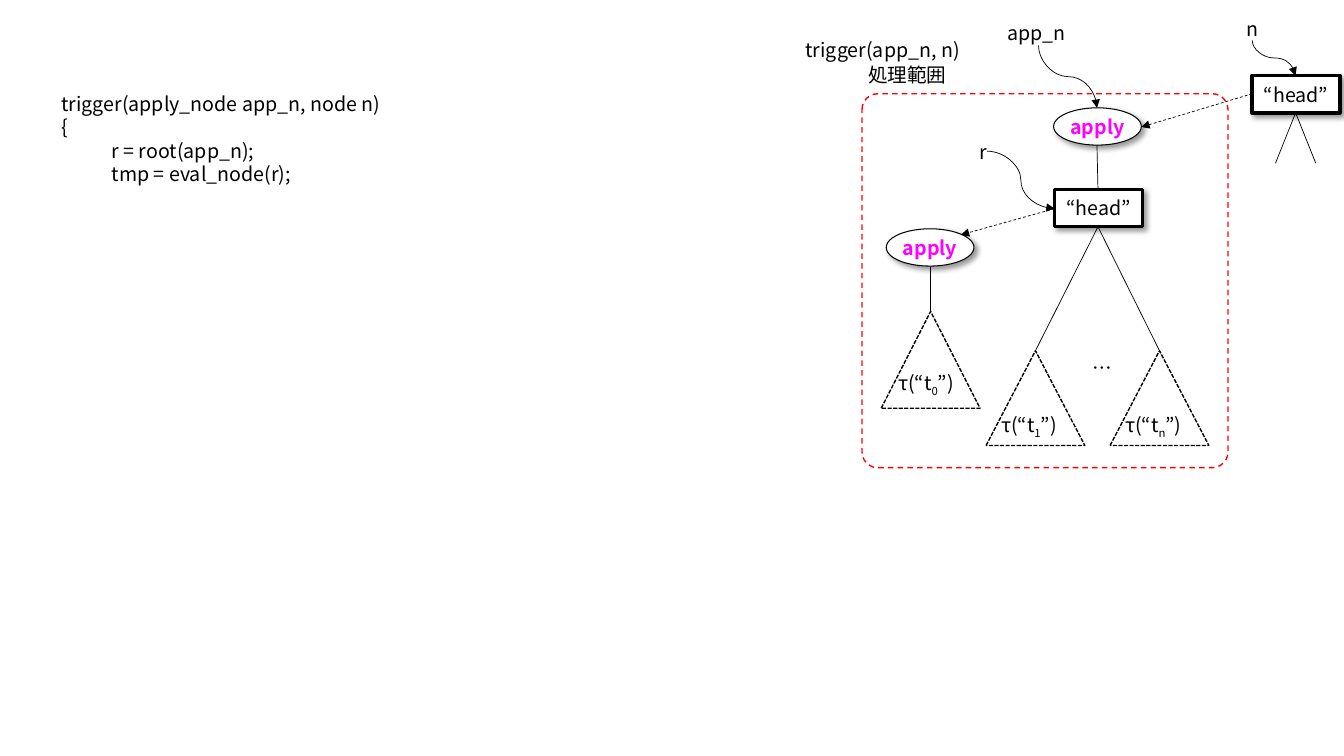
from lxml.etree import SubElement
from pptx import Presentation
from pptx.dml.color import RGBColor
from pptx.enum.dml import MSO_LINE
from pptx.enum.shapes import MSO_CONNECTOR as LINK, MSO_SHAPE as SHAPE
from pptx.enum.text import MSO_ANCHOR as ANCHOR, PP_ALIGN as ALIGN
from pptx.oxml.ns import qn
from pptx.util import Emu, Pt

PX = 9144  # EMU per px, 100 px to the inch
BLACK, WHITE, RED, MAGENTA = "000000", "FFFFFF", "FF0000", "FF00FF"
NODE_W, NODE_H = 87, 37


def px(n):
    return Emu(round(n * PX))


def color(code):
    return RGBColor.from_string(code)


class Diagram:
    font, size = "Noto Sans CJK JP", 14

    def __init__(self, slide):
        self.shapes = slide.shapes

    def format_runs(self, p, ink=BLACK, bold=None):
        for r in p.runs:
            r.font.size, r.font.bold, r.font.name = Pt(self.size), bold, self.font
            r.font.color.rgb = color(ink)
            SubElement(r._r.rPr, qn("a:ea"), typeface=self.font)

    def set_margins(self, tf, x, y):
        tf.margin_left = tf.margin_right = px(x)
        tf.margin_top = tf.margin_bottom = px(y)

    def shape(self, kind, x, y, w, h, width, line=BLACK, dash=None):
        s = self.shapes.add_shape(kind, px(x), px(y), px(w), px(h))
        s.shadow.inherit = False
        s.fill.solid()
        s.fill.fore_color.rgb = color(WHITE)
        s.line.color.rgb = color(line)
        s.line.width = Pt(width)
        if dash:
            s.line.dash_style = dash
        return s

    def node(self, kind, text, x, y, width, ink=BLACK, bold=None):
        s = self.shape(kind, x, y, NODE_W, NODE_H, width)
        effects = s._element.spPr.find(qn("a:effectLst"))
        shadow = SubElement(effects, qn("a:outerShdw"), blurRad=str(Pt(4)),
                            dist=str(Pt(3)), dir="2700000", algn="tl", rotWithShape="0")
        shade = SubElement(shadow, qn("a:srgbClr"), val=BLACK)
        SubElement(shade, qn("a:alpha"), val="40000")
        tf = s.text_frame
        self.set_margins(tf, 0, 0)
        tf.vertical_anchor = ANCHOR.MIDDLE
        tf.text = text
        tf.paragraphs[0].alignment = ALIGN.CENTER
        self.format_runs(tf.paragraphs[0], ink, bold)

    def apply(self, x, y):
        self.node(SHAPE.OVAL, "apply", x, y, 0.75, MAGENTA, True)

    def head(self, x, y):
        self.node(SHAPE.RECTANGLE, "“head”", x, y, 2.5)

    def text(self, lines, x, y, w, h, align=ALIGN.LEFT, margins=(0, 0)):
        tf = self.shapes.add_textbox(px(x), px(y), px(w), px(h)).text_frame
        tf.word_wrap = True
        self.set_margins(tf, *margins)
        tf.text = lines
        for p in tf.paragraphs:
            p.alignment = align
            self.format_runs(p)
        return tf

    def subtree(self, index, x, y, h, label_x, label_y):
        self.shape(SHAPE.ISOSCELES_TRIANGLE, x, y, 98, h, 1, dash=MSO_LINE.SQUARE_DOT)
        tf = self.text("τ(“t", label_x, label_y, 98, 34, margins=(10, 5))
        p = tf.paragraphs[0]
        for part in (index, "”)"):
            p.add_run().text = part
        self.format_runs(p)
        p.runs[1].font._element.set("baseline", "-25000")

    def link(self, x1, y1, x2, y2, kind=LINK.STRAIGHT, arrow=False, dash=None):
        c = self.shapes.add_connector(kind, px(x1), px(y1), px(x2), px(y2))
        SubElement(c._element.spPr, qn("a:effectLst"))
        c.line.color.rgb = color(BLACK)
        c.line.width = Pt(0.5)
        if dash:
            c.line.dash_style = dash
        if arrow:
            SubElement(c.line._get_or_add_ln(), qn("a:tailEnd"), type="triangle")
        return c

    def reference(self, *ends):
        self.link(*ends, arrow=True, dash=MSO_LINE.DASH)

    def pointer_across(self, *ends):
        self.link(*ends, kind=LINK.CURVE, arrow=True)

    def pointer_down(self, x1, y1, x2, y2):
        # A mirrored curve, turned a quarter about its centre
        cx, cy = (x1 + x2) / 2, (y1 + y2) / 2
        half_w, half_h = (y2 - y1) / 2, (x2 - x1) / 2
        c = self.link(cx + half_w, cy - half_h, cx - half_w, cy + half_h,
                      LINK.CURVE, arrow=True)
        c._element.spPr.find(qn("a:xfrm")).set("rot", str(270 * 60000))


def main():
    prs = Presentation()
    prs.slide_width, prs.slide_height = px(1333), px(750)
    d = Diagram(prs.slides.add_slide(prs.slide_layouts[6]))

    # Processing range
    area = d.shape(SHAPE.ROUNDED_RECTANGLE, 855, 93, 363, 371, 1, RED, MSO_LINE.DASH)
    area.adjustments[0] = 0.043
    d.text("trigger(app_n, n)", 799, 38, 204, 24)
    d.text("処理範囲", 861, 62, 92, 24)

    # Nodes and references between them
    d.apply(1045, 107)
    d.apply(879, 227)
    d.reference(1242, 93, 1132, 126)
    d.reference(1046, 207, 953, 233)
    d.head(1242, 75)
    d.head(1046, 188)

    # Subtrees
    d.subtree("0", 874, 309, 96, 881, 363)
    for index, x in (("1", 978), ("n", 1101)):
        d.subtree(index, x, 348, 94, x + 5, 405)
        d.link(x + 49, 348, 1089, 225)
    d.text("…", 1074, 348, 70, 34, margins=(10, 5))

    # Branches
    for x in (1265, 1305):
        d.link(x, 162, 1285, 112)
    d.link(1089, 188, 1088, 144)
    d.link(923, 309, 923, 265)

    # Variables and their pointers
    d.text("app_n", 999, 21, 63, 24)
    d.pointer_down(1030, 45, 1088, 107)
    d.text("n", 1211, 17, 63, 24, ALIGN.CENTER)
    d.pointer_down(1242, 40, 1285, 75)
    d.text("r", 916, 139, 63, 24, ALIGN.RIGHT)
    d.pointer_across(979, 150, 1046, 207)

    # Code
    d.text("trigger(apply_node app_n, node n)\n{\n\tr = root(app_n);\n\ttmp = eval_node(r);",
           51, 86, 670, 151, margins=(10, 5))

    prs.save("out.pptx")


if __name__ == "__main__":
    main()
